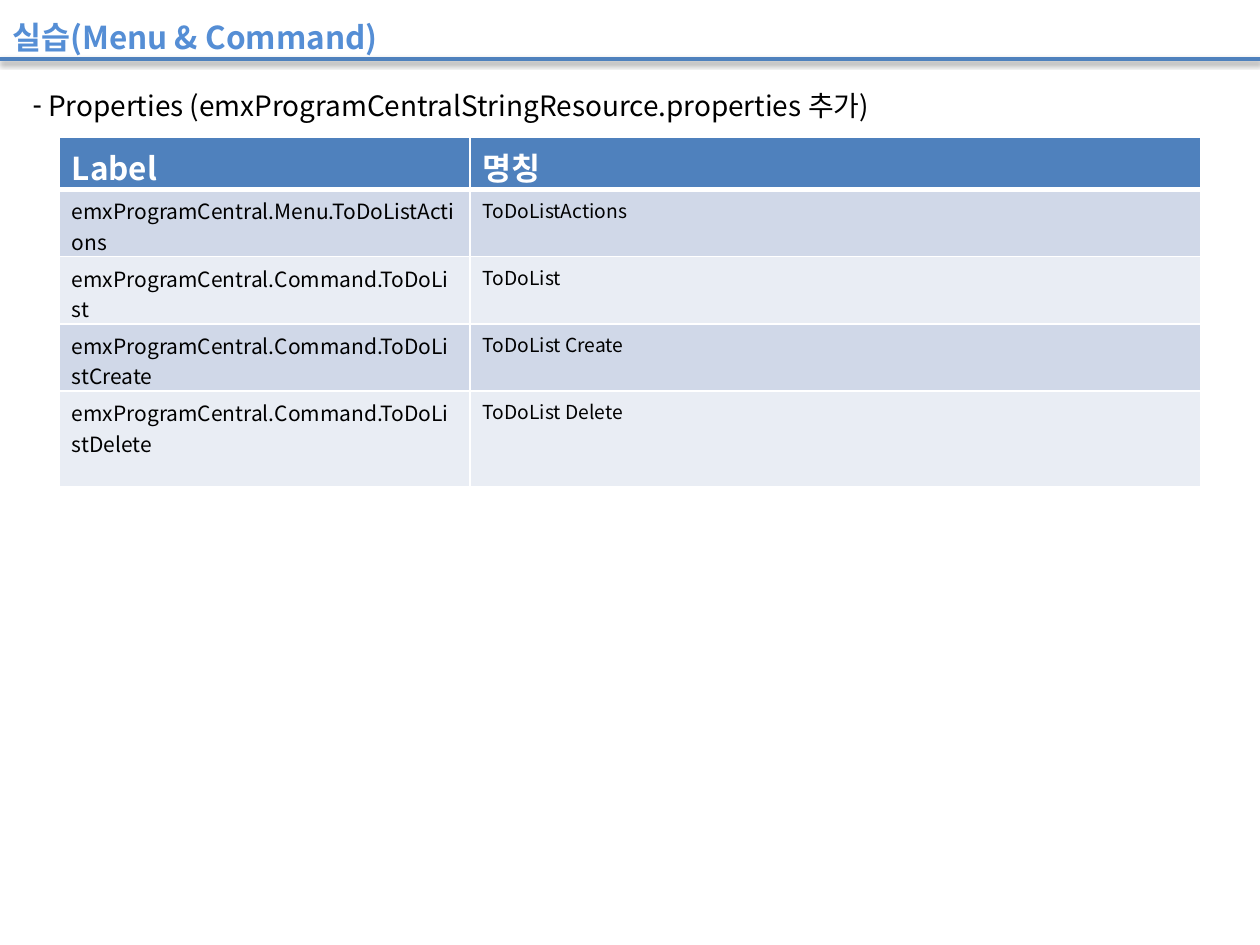
"""Build the slide that lists the menu and command string resources."""
import pptx
import pptx.dml.color
import pptx.enum.shapes
import pptx.enum.text
import pptx.oxml
import pptx.oxml.ns
import pptx.util
import lxml.etree

Inches = pptx.util.Inches
COLORS = {
    "title": "558ED5", "accent": "4F81BD", "text": "000000", "white": "FFFFFF",
    "odd": "D0D8E8", "even": "E9EDF4",
}
FONT = "Noto Sans CJK KR"
RESOURCES = [
    ("Label", "명칭"),
    ("emxProgramCentral.Menu.ToDoListActions", "ToDoListActions"),
    ("emxProgramCentral.Command.ToDoList", "ToDoList"),
    ("emxProgramCentral.Command.ToDoListCreate", "ToDoList Create"),
    ("emxProgramCentral.Command.ToDoListDelete", "ToDoList Delete"),
]
COLUMN_WIDTHS = [3.26, 5.8]
ROW_HEIGHTS = [0.41, 0.16, 0.38, 0.38, 0.76]


def rgb(name):
    """Return the named colour."""
    return pptx.dml.color.RGBColor.from_string(COLORS[name])


def add_element(parent, tag, **attributes):
    """Append a DrawingML child and return it."""
    child = lxml.etree.SubElement(parent, pptx.oxml.ns.qn(tag))
    for name, value in attributes.items():
        child.set(name, str(value))
    return child


def write_text(frame, text, size=12, color="text", bold=False, bullet=None):
    """Write one left-aligned paragraph with the given format."""
    para = frame.paragraphs[0]
    para.alignment = pptx.enum.text.PP_ALIGN.LEFT
    para.space_before = pptx.util.Pt(0)
    if bullet:
        properties = para._p.get_or_add_pPr()
        properties.set("marL", "0")
        properties.set("indent", "0")
        add_element(properties, "a:buChar", char=bullet)
    span = para.add_run()
    span.text = text
    span.font.name = FONT
    span.font.size = pptx.util.Pt(size)
    span.font.bold = bold
    span.font.color.rgb = rgb(color)
    add_element(span._r.get_or_add_rPr(), "a:ea", typeface=FONT)


class SlideBuilder:
    """Hold the style and the current slide."""

    def __init__(self, deck):
        """Add a title and content page to the deck."""
        self.page = deck.slides.add_slide(deck.slide_layouts[1])

    def fill_placeholder(self, index, text, left, top, width, height, **style):
        """Place a template placeholder and write its text."""
        box = self.page.placeholders[index]
        box.left, box.top = Inches(left), Inches(top)
        box.width, box.height = Inches(width), Inches(height)
        frame = box.text_frame
        frame.word_wrap = True
        frame.auto_size = pptx.enum.text.MSO_AUTO_SIZE.NONE
        frame.vertical_anchor = pptx.enum.text.MSO_ANCHOR.MIDDLE
        write_text(frame, text, **style)

    def add_rule(self, top):
        """Draw the shadowed line across the page."""
        rule = self.page.shapes.add_connector(
            pptx.enum.shapes.MSO_CONNECTOR.STRAIGHT,
            Inches(0), Inches(top), Inches(10), Inches(top))
        rule.line.color.rgb = rgb("accent")
        rule.line.width = pptx.util.Pt(2)
        effects = add_element(rule._element.spPr, "a:effectLst")
        shadow = add_element(
            effects, "a:outerShdw", blurRad=pptx.util.Pt(3.1),
            dist=pptx.util.Pt(1.6), dir=5400000, rotWithShape=0)
        shade = add_element(shadow, "a:srgbClr", val=COLORS["text"])
        add_element(shade, "a:alpha", val=38000)

    def format_cell(self, cell, fill, bottom_width):
        """Give a cell its white borders, fill and margin."""
        properties = cell._tc.get_or_add_tcPr()
        for side in "LRTB":
            width = bottom_width if side == "B" else 1
            border = add_element(properties, f"a:ln{side}", w=pptx.util.Pt(width))
            add_element(add_element(border, "a:solidFill"), "a:srgbClr", val=COLORS["white"])
        cell.fill.solid()
        cell.fill.fore_color.rgb = rgb(fill)
        cell.margin_bottom = 0

    def add_resources(self, left, top, width, height):
        """Add the table of labels and names."""
        table = self.page.shapes.add_table(
            len(RESOURCES), len(COLUMN_WIDTHS),
            Inches(left), Inches(top), Inches(width), Inches(height)).table
        for column, size in zip(table.columns, COLUMN_WIDTHS):
            column.width = Inches(size)
        for row, size in zip(table.rows, ROW_HEIGHTS):
            row.height = Inches(size)
        for row_index, texts in enumerate(RESOURCES):
            header = row_index == 0
            fill = "accent" if header else ("even", "odd")[row_index % 2]
            for column_index, text in enumerate(texts):
                cell = table.cell(row_index, column_index)
                self.format_cell(cell, fill, 3 if header else 1)
                write_text(
                    cell.text_frame, text, bold=header,
                    size=18 if header else (12, 11)[column_index],
                    color="white" if header else "text")


def main():
    """Build and save the deck."""
    deck = pptx.Presentation()
    deck.slide_width, deck.slide_height = Inches(10), Inches(7.5)
    builder = SlideBuilder(deck)
    builder.add_rule(0.47)
    builder.fill_placeholder(
        0, "실습(Menu & Command)", 0, 0.09, 7.27, 0.4, size=18, color="title", bold=True)
    builder.fill_placeholder(
        1, " Properties (emxProgramCentralStringResource.properties 추가)",
        0.16, 0.65, 7.19, 0.37, size=16, bullet="-")
    builder.add_resources(0.47, 1.09, 9.06, 2.54)
    deck.save("out.pptx")


if __name__ == "__main__":
    main()
